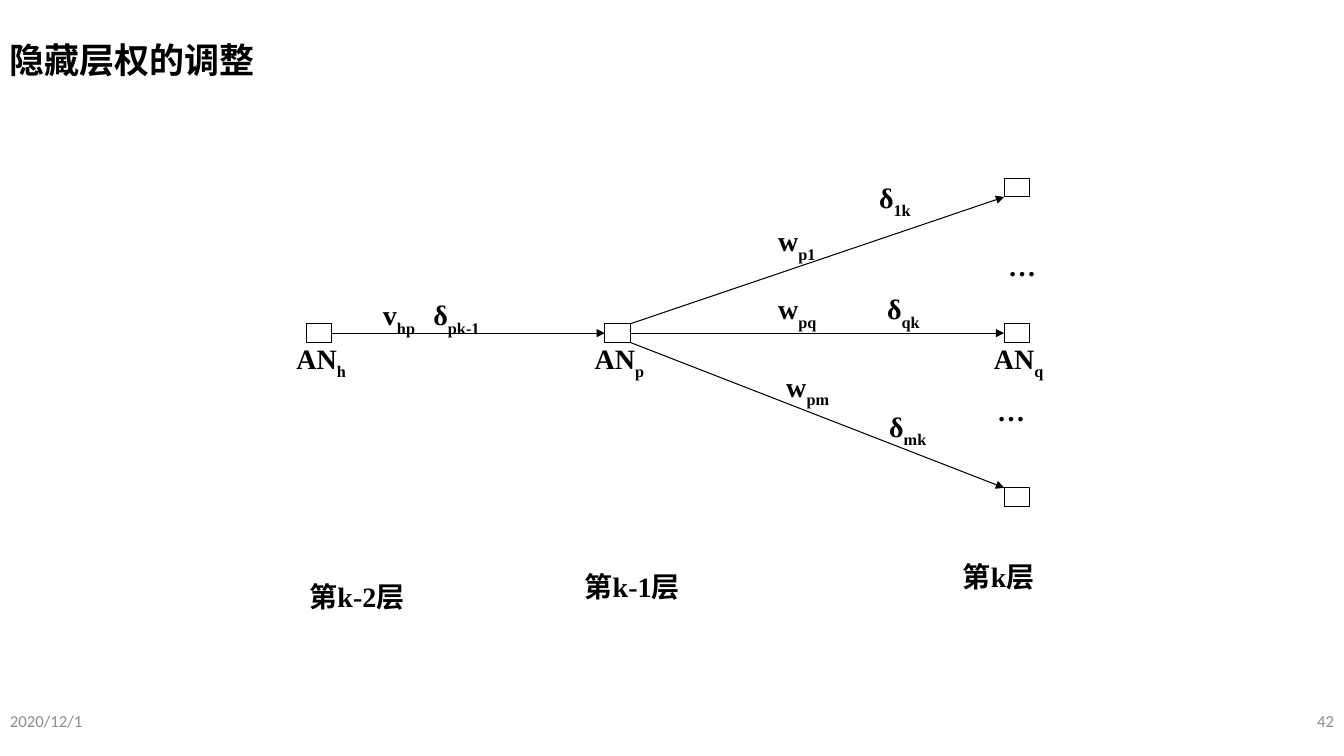
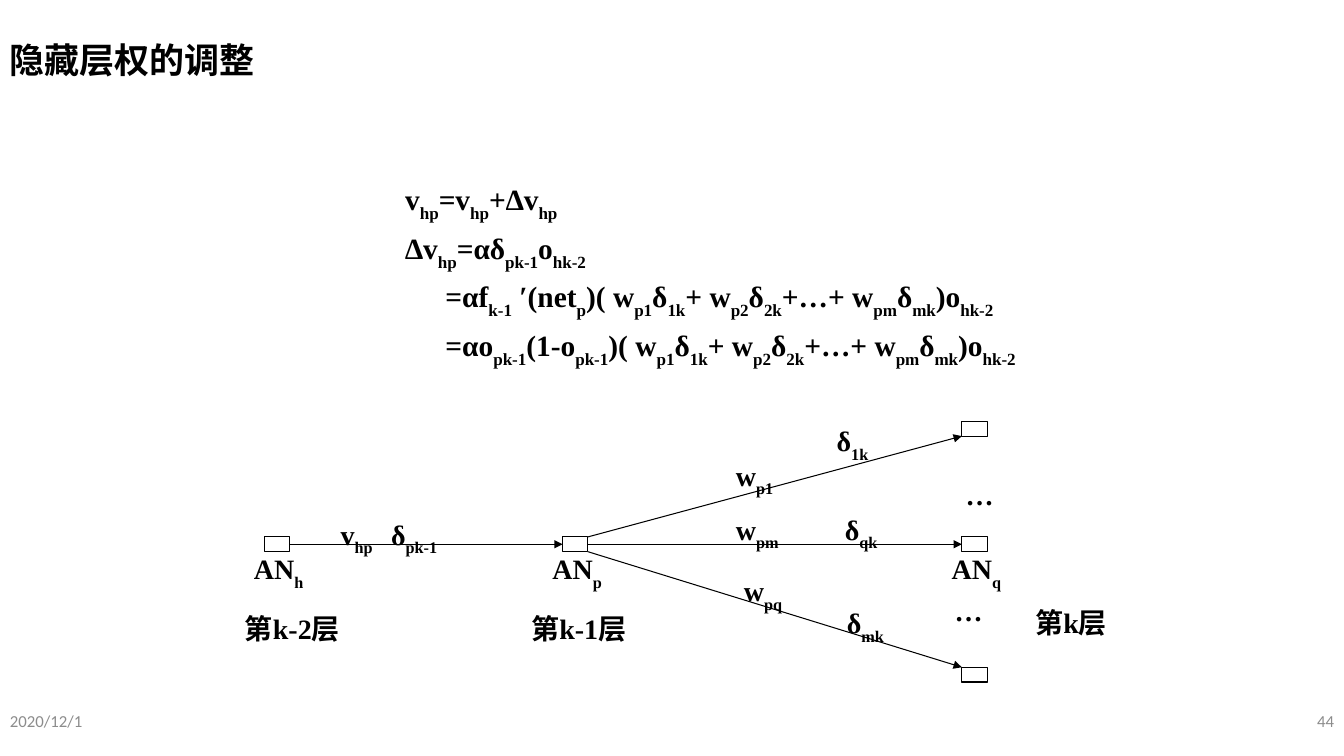
from lxml import etree
from pptx import Presentation, util as u
from pptx.dml.color import RGBColor
from pptx.enum import shapes, text
from pptx.oxml.ns import qn

W, H = 13.33, 7.5
BLACK, WHITE, GREY = "000000", "FFFFFF", "8C8C8C"
SERIF, SANS, CJK = "Times New Roman", "Calibri", "Noto Sans CJK SC"
TITLE, DATE = "隐藏层权的调整", "2020/12/1"
NODE_W = 0.25
COLS = {"h": 0, "p": 2.96, "q": 6.92}
ROWS = {"top": 0, "mid": 0.47, "low": 1}
SUM = "( w{p1}δ{1k}+ w{p2}δ{2k}+…+ w{pm}δ{mk})o{hk-2}"
FORMULAS = [
    "v{hp}=v{hp}+∆v{hp}",
    "∆v{hp}=αδ{pk-1}o{hk-2}",
    "\t=αf{k-1} ′(net{p})" + SUM,
    "\t=αo{pk-1}(1-o{pk-1})" + SUM,
]


def rgb(color):
    """Turn a hex string into a colour."""
    return RGBColor.from_string(color)


def write(p, line, size, font, color, bold):
    """Fill a paragraph, setting parts in braces as subscripts."""
    for i, part in enumerate(line.replace("}", "{").split("{")):
        if not part:
            continue
        r = p.add_run()
        r.text = part
        r.font.size, r.font.name, r.font.bold = u.Pt(size), font, bold
        r.font.color.rgb = rgb(color)
        rPr = r.font._element
        etree.SubElement(rPr, qn("a:ea")).set("typeface", CJK)
        if i % 2:
            rPr.set("baseline", "-30000")


def add_text(s, lines, x, y, w, h, size=20, font=SERIF, color=BLACK, bold=True,
             wrap=True, middle=False, align="LEFT", hang=0, before=0):
    """Add a text box with one paragraph for each line."""
    tf = s.shapes.add_textbox(*map(u.Inches, (x, y, w, h))).text_frame
    tf.word_wrap = wrap
    if not wrap:
        tf.auto_size = text.MSO_AUTO_SIZE.SHAPE_TO_FIT_TEXT
    tf.vertical_anchor = text.MSO_ANCHOR.MIDDLE if middle else text.MSO_ANCHOR.TOP
    for i, line in enumerate(lines):
        p = tf.add_paragraph() if i else tf.paragraphs[0]
        p.alignment = getattr(text.PP_ALIGN, align)
        if hang:
            pPr = p._p.get_or_add_pPr()
            pPr.set("marL", str(u.Inches(hang)))
            pPr.set("indent", str(-u.Inches(hang)))
        if i and before:
            p.space_before = u.Pt(before)
        write(p, line, size, font, color, bold)


def add_node(s, x, y, h):
    """Add one neuron as a small outlined rectangle."""
    sp = s.shapes.add_shape(shapes.MSO_SHAPE.RECTANGLE,
                            *map(u.Inches, (x, y, NODE_W, h)))
    sp.shadow.inherit = False
    sp.fill.solid()
    sp.fill.fore_color.rgb = rgb(WHITE)
    sp.line.color.rgb = rgb(BLACK)
    sp.line.width = u.Pt(0.75)
    return sp


def add_arrow(s, a, b, start=None):
    """Join two nodes: side to side, or from a right corner to a left one."""
    right = a.left + a.width
    ends = {"top": (a.top, b.top + b.height), "low": (a.top + a.height, b.top)}
    y1, y2 = ends.get(start, (a.top, b.top))
    c = s.shapes.add_connector(shapes.MSO_CONNECTOR.STRAIGHT, right, y1, b.left, y2)
    if start is None:
        c.begin_connect(a, 3)
        c.end_connect(b, 1)
    c.line.color.rgb = rgb(BLACK)
    c.line.width = u.Pt(0.75)
    etree.SubElement(c.line._get_or_add_ln(), qn("a:tailEnd")).set("type", "triangle")
    etree.SubElement(c._element.spPr, qn("a:effectLst"))


def add_network(s, x, y, height, mid, low, layers):
    """Draw the three layers, their weights and the layer names."""
    def node(col, row):
        """Place a node on the grid of layers."""
        return add_node(s, x + COLS[col], y + ROWS[row] * height, 0.06 * height)

    h, p = node("h", "mid"), node("p", "mid")
    top, q, bottom = (node("q", row) for row in ROWS)
    add_arrow(s, h, p)
    add_arrow(s, p, top, "top")
    add_arrow(s, p, q)
    add_arrow(s, p, bottom, "low")
    labels = [(f"AN{{{name}}}", col - 0.2, 0.51, 0.71) for name, col in COLS.items()]
    labels += [
        ("v{hp}\tδ{pk-1}", 0.66, 0.37, 1.72),
        ("δ{1k}", 5.58, -0.01, 0.54),
        ("w{p1}", 4.58, 0.13, 0.6),
        (f"w{{{mid}}}", 4.58, 0.35, 0.63),
        ("δ{qk}", 5.66, 0.35, 0.55),
        (f"w{{{low}}}", 4.66, 0.6, 0.63),
        ("δ{mk}", 5.68, 0.73, 0.61),
        ("…", 6.86, 0.21, 0.48),
        ("…", 6.75, 0.68, 0.48),
    ]
    for label, dx, share, w in labels:
        add_text(s, [label], x + dx, y + share * height, w, 0.44, wrap=False)
    for label, left, upper, w in layers:
        add_text(s, [label], left, upper, w, 0.43)


def add_slide(prs, number):
    """Add a blank slide with the shared title, date and number."""
    s = prs.slides.add_slide(prs.slide_layouts[6])
    foot = dict(size=12, font=SANS, color=GREY, bold=False, middle=True)
    add_text(s, [DATE], 0, 6.95, 3, 0.4, **foot)
    add_text(s, [number], W - 3, 6.95, 3, 0.4, align="RIGHT", **foot)
    add_text(s, [TITLE], 0, 0.21, 12, 0.76, size=25, font=CJK, middle=True)
    return s


def main():
    """Build both slides and save them."""
    prs = Presentation()
    prs.slide_width, prs.slide_height = u.Inches(W), u.Inches(H)
    s = add_slide(prs, "42")
    add_network(s, 3.04, 1.77, 3.07, "pq", "pm", [
        ("第k-2层", 2.97, 5.7, 1.15), ("第k-1层", 5.7, 5.6, 1.15),
        ("第k层", 9.45, 5.5, 0.91)])
    s = add_slide(prs, "44")
    add_text(s, FORMULAS, 3.92, 1.75, W - 3.92, 2.33, size=21,
             align="JUSTIFY", hang=0.4, before=5)
    add_network(s, 2.62, 4.18, 2.44, "pm", "pq", [
        ("第k-2层", 2.33, 6.02, 1.15), ("第k-1层", 5.17, 6.02, 1.15),
        ("第k层", 10.17, 5.96, 0.95)])
    prs.save("out.pptx")


if __name__ == "__main__":
    main()
